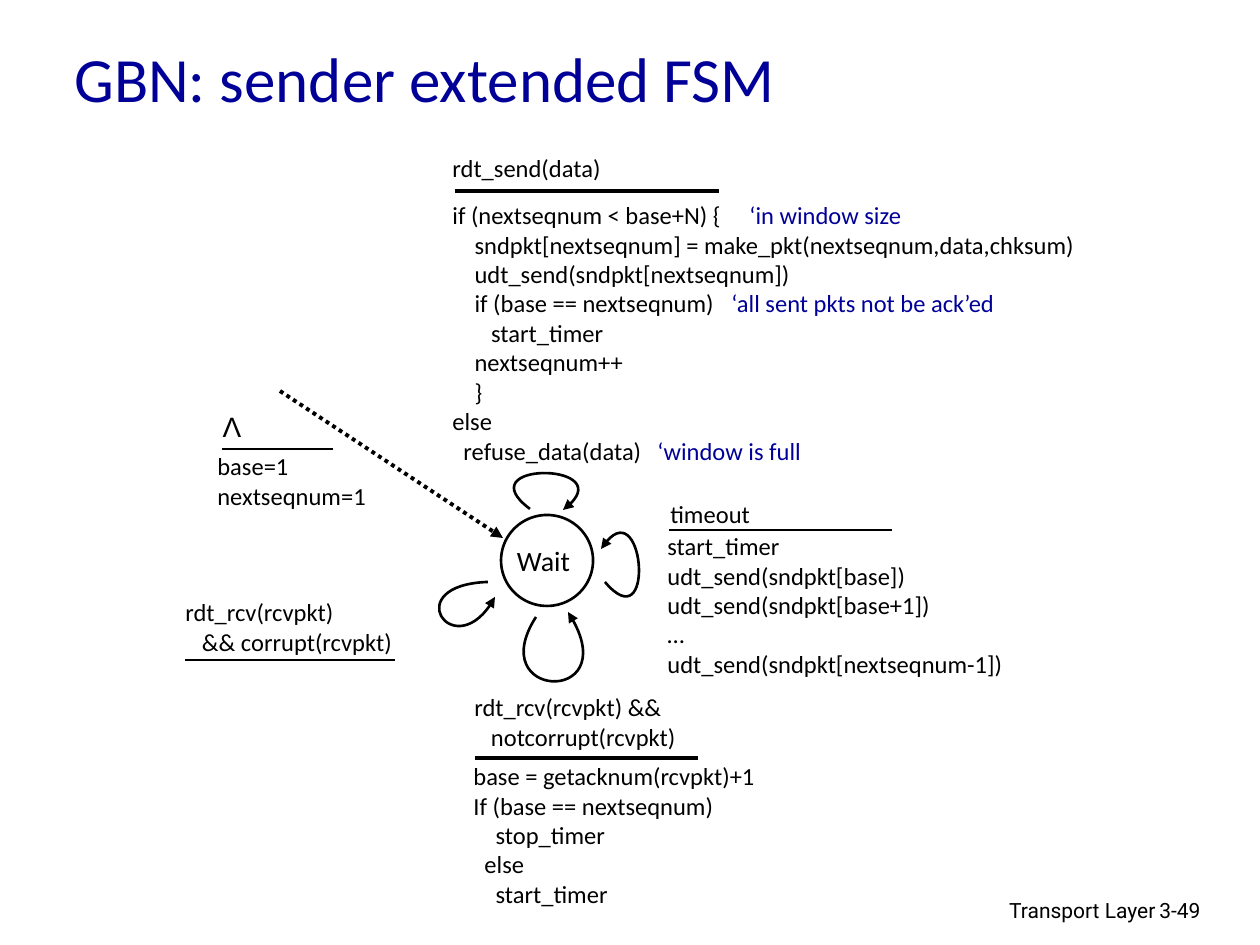
from lxml import etree
from pptx import Presentation
from pptx.dml.color import RGBColor
from pptx.enum.dml import MSO_LINE
from pptx.enum.shapes import MSO_CONNECTOR, MSO_SHAPE
from pptx.enum.text import MSO_ANCHOR, PP_ALIGN
from pptx.oxml.ns import qn
from pptx.util import Emu, Pt

SCALE = 914400 / 126
BLACK, NAVY, WHITE = "000000", "000099", "FFFFFF"
LEFT, CENTER, RIGHT = PP_ALIGN.LEFT, PP_ALIGN.CENTER, PP_ALIGN.RIGHT
TOP, MIDDLE = MSO_ANCHOR.TOP, MSO_ANCHOR.MIDDLE
STRAIGHT, OVAL = MSO_CONNECTOR.STRAIGHT, MSO_SHAPE.OVAL
DOTTED = MSO_LINE.ROUND_DOT

SEND_ACTIONS = [
    ("if (nextseqnum < base+N) {", "‘in window size", 297),
    "    sndpkt[nextseqnum] = make_pkt(nextseqnum,data,chksum)",
    "    udt_send(sndpkt[nextseqnum])",
    ("    if (base == nextseqnum)", "‘all sent pkts not be ack’ed", 279),
    "       start_timer",
    "    nextseqnum++",
    "    }",
    "else",
    ("  refuse_data(data)", "‘window is full", 205),
]
TIMEOUT_ACTIONS = [
    "start_timer",
    "udt_send(sndpkt[base])",
    "udt_send(sndpkt[base+1])",
    "…",
    "udt_send(sndpkt[nextseqnum-1])",
]
ACK_ACTIONS = [
    "base = getacknum(rcvpkt)+1",
    "If (base == nextseqnum)",
    "    stop_timer",
    "  else",
    "    start_timer",
]
CODE_BLOCKS = [
    ((440, 147, 321, 36), ["rdt_send(data)"]),
    ((440, 194, 761, 281), SEND_ACTIONS),
    ((658, 493, 151, 38), ["timeout"]),
    ((655, 525, 383, 115), TIMEOUT_ACTIONS),
    ((462, 686, 391, 62), ["rdt_rcv(rcvpkt) &&", "   notcorrupt(rcvpkt)"]),
    ((461, 755, 508, 115), ACK_ACTIONS),
    ((205, 445, 204, 69), ["base=1", "nextseqnum=1"]),
    ((173, 591, 282, 62), ["rdt_rcv(rcvpkt)", "   && corrupt(rcvpkt)"]),
]
EVENT_RULES = [
    (455, 719, 191, 2.25),
    (669, 892, 530, 1.5),
    (475, 698, 758, 2.25),
    (222, 333, 449, 1.5),
    (185, 395, 660, 1.5),
]
SELF_LOOPS = [
    [(605, 582), (655, 641), (644, 483), (601, 549)],
    [(530, 509), (467, 462), (627, 462), (563, 510)],
    [(536, 617), (483, 699), (629, 706), (568, 612)],
    [(488, 582), (399, 585), (456, 669), (495, 597)],
]


def px(length):
    return Emu(round(length * SCALE))


def color(hex_text):
    return RGBColor.from_string(hex_text)


def add_comment(paragraph, comment, tab_position):
    tabs = etree.SubElement(paragraph._p.get_or_add_pPr(), qn("a:tabLst"))
    etree.SubElement(tabs, qn("a:tab"), pos=str(px(tab_position)), algn="l")
    run = paragraph.add_run()
    run.text = "\t" + comment
    run.font.color.rgb = color(NAVY)


def add_text(slide, box, lines, size=14, font="Calibri", ink=BLACK,
             align=LEFT, anchor=TOP, wrap=True):
    frame = slide.shapes.add_textbox(*map(px, box)).text_frame
    frame.word_wrap = wrap
    frame.vertical_anchor = anchor
    for index, line in enumerate(lines):
        paragraph = frame.add_paragraph() if index else frame.paragraphs[0]
        paragraph.alignment = align
        if isinstance(line, tuple):
            code, comment, tab_position = line
            paragraph.add_run().text = code
            add_comment(paragraph, comment, tab_position)
        else:
            paragraph.add_run().text = line
        paragraph.font.size = Pt(size)
        paragraph.font.name = font
        paragraph.font.color.rgb = color(ink)


def style_line(shape, width, arrow=False, dash=None):
    shape.line.color.rgb = color(BLACK)
    shape.line.width = Pt(width)
    if dash is not None:
        shape.line.dash_style = dash
    if arrow:
        etree.SubElement(shape.line._get_or_add_ln(), qn("a:tailEnd"),
                         type="triangle")


def add_line(slide, start, end, width, arrow=False, dash=None):
    connector = slide.shapes.add_connector(
        STRAIGHT, *map(px, start), *map(px, end))
    style_line(connector, width, arrow, dash)
    etree.SubElement(connector._element.spPr, qn("a:effectLst"))


def add_self_loop(slide, points):
    start, *controls = points
    builder = slide.shapes.build_freeform(*start, scale=SCALE)
    builder.add_line_segments(controls, close=False)
    shape = builder.convert_to_shape()
    shape.shadow.inherit = False
    shape.fill.background()
    style_line(shape, 1.5, arrow=True)
    path = shape._element.find(".//" + qn("a:path"))
    segments = path.findall(qn("a:lnTo"))
    curve = etree.SubElement(path, qn("a:cubicBezTo"))
    for segment in segments:
        curve.append(segment[0])
        path.remove(segment)


def add_state(slide, box, label_box, label):
    state = slide.shapes.add_shape(OVAL, *map(px, box))
    state.shadow.inherit = False
    state.fill.solid()
    state.fill.fore_color.rgb = color(WHITE)
    style_line(state, 1.5)
    add_text(slide, label_box, [label], size=16, align=CENTER)


def main():
    presentation = Presentation()
    presentation.slide_width = px(1260)
    presentation.slide_height = px(945)
    slide = presentation.slides.add_slide(presentation.slide_layouts[6])

    add_text(slide, (62, 29, 1071, 97), ["GBN: sender extended FSM"],
             size=36, ink=NAVY, anchor=MIDDLE)
    add_state(slide, (501, 515, 92, 91), (488, 537, 111, 33), "Wait")
    add_line(slide, (280, 391), (503, 538), 2.25, arrow=True, dash=DOTTED)
    for box, lines in CODE_BLOCKS:
        add_text(slide, box, lines)
    add_text(slide, (210, 403, 44, 47), ["Λ"], size=16, font="Arial",
             align=CENTER, wrap=False)
    for left, right, y, width in EVENT_RULES:
        add_line(slide, (left, y), (right, y), width)
    for points in SELF_LOOPS:
        add_self_loop(slide, points)
    add_text(slide, (769, 891, 399, 38), ["Transport Layer"], size=12,
             font="Roboto", align=RIGHT)
    add_text(slide, (1147, 891, 93, 38), ["3-49"], size=12, font="Roboto")

    presentation.save("out.pptx")


if __name__ == "__main__":
    main()
